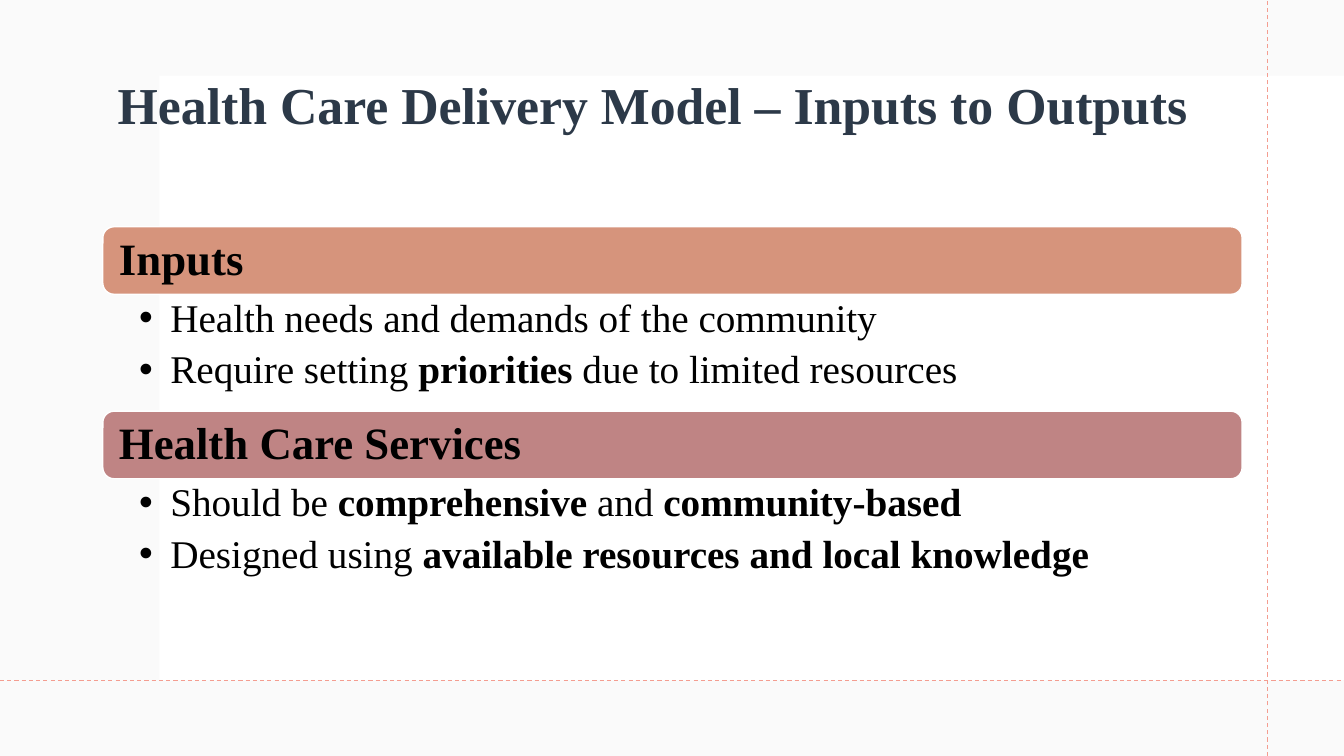
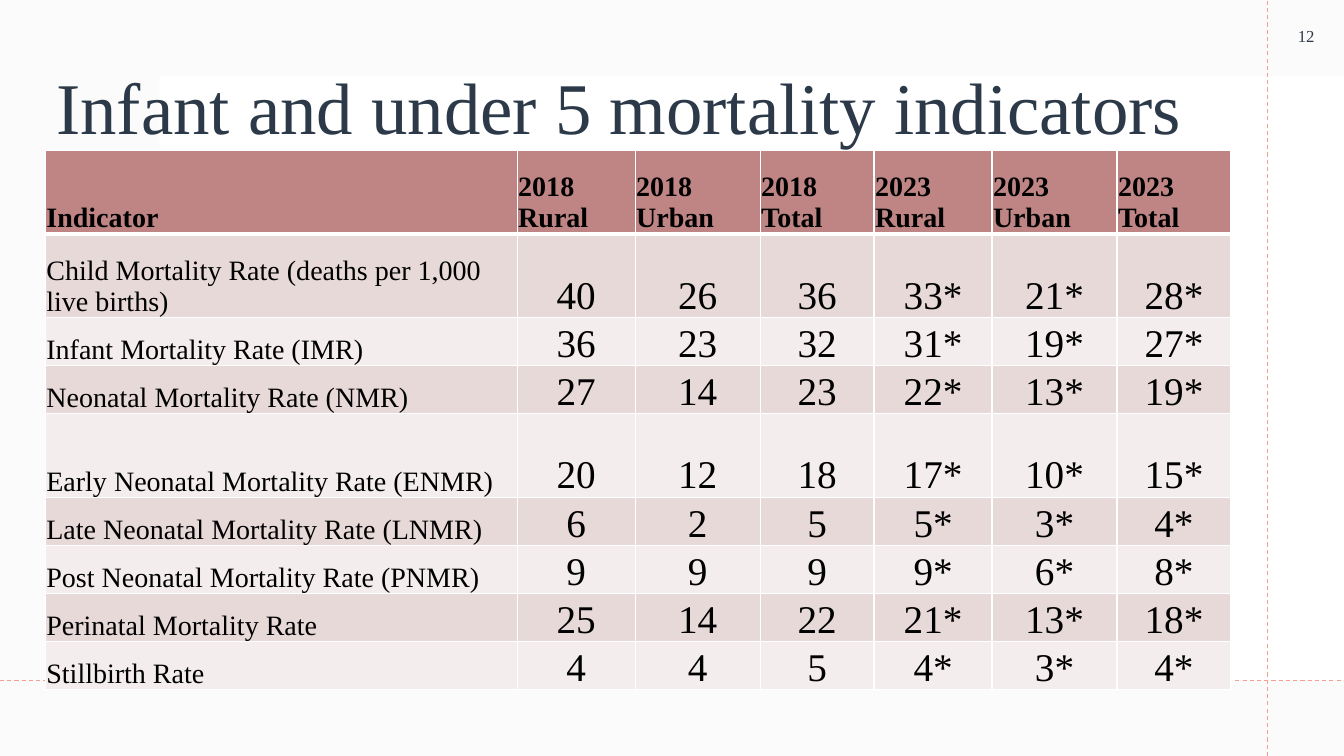
from lxml import etree
from pptx import Presentation
from pptx.dml.color import RGBColor
from pptx.enum.dml import MSO_LINE
from pptx.enum.shapes import MSO_CONNECTOR, MSO_SHAPE
from pptx.enum.text import MSO_ANCHOR, PP_ALIGN
from pptx.oxml.ns import qn
from pptx.util import Inches, Pt

RECT, ROUNDED = MSO_SHAPE.RECTANGLE, MSO_SHAPE.ROUNDED_RECTANGLE
STRAIGHT, DASH = MSO_CONNECTOR.STRAIGHT, MSO_LINE.DASH
TOP, MIDDLE, BOTTOM = MSO_ANCHOR.TOP, MSO_ANCHOR.MIDDLE, MSO_ANCHOR.BOTTOM
LEFT, CENTER = PP_ALIGN.LEFT, PP_ALIGN.CENTER

W, H = 13.33, 7.5
FONT = "Times New Roman"
WHITE, BLACK, NAVY, VEIL = "FFFFFF", "000000", "2C3948", "F4F4F4"
GUIDE, CLAY, ROSE = "F49D90", "D6947C", "BF8484"
STRIPES = ("E8D9D9", "F4EDED")
GUIDE_X, GUIDE_Y = 12.57, 6.75

SECTIONS = [
    ("Inputs", CLAY, [
        ["Health needs and demands of the community"],
        ["Require setting ", "*priorities", " due to limited resources"]]),
    ("Health Care Services", ROSE, [
        ["Should be ", "*comprehensive", " and ", "*community-based"],
        ["Designed using ", "*available resources and local knowledge"]]),
]

COLUMNS = [4.68, 1.17, 1.24, 1.13, 1.17, 1.24, 1.13]
TALL, SHORT = 0.83, 0.44
HEADINGS = ["Indicator", "2018\nRural", "2018\nUrban", "2018\nTotal",
            "2023\nRural", "2023\nUrban", "2023\nTotal"]
RATES = [
    (TALL, "Child Mortality Rate (deaths per 1,000 live births)", "40 26 36 33* 21* 28*"),
    (SHORT, "Infant Mortality Rate (IMR)", "36 23 32 31* 19* 27*"),
    (SHORT, "Neonatal Mortality Rate (NMR)", "27 14 23 22* 13* 19*"),
    (TALL, "Early Neonatal Mortality Rate (ENMR)", "20 12 18 17* 10* 15*"),
    (SHORT, "Late Neonatal Mortality Rate (LNMR)", "6 2 5 5* 3* 4*"),
    (SHORT, "Post Neonatal Mortality Rate (PNMR)", "9 9 9 9* 6* 8*"),
    (SHORT, "Perinatal Mortality Rate", "25 14 22 21* 13* 18*"),
    (SHORT, "Stillbirth Rate", "4 4 5 4* 3* 4*"),
]


def rgb(value):
    return RGBColor.from_string(value)


def inches(*values):
    return [Inches(v) for v in values]


def add_bullet(p, indent):
    pPr = p._p.get_or_add_pPr()
    pPr.set("marL", str(Inches(indent)))
    pPr.set("indent", str(-Inches(indent)))
    etree.SubElement(pPr, qn("a:buFont")).set("typeface", "Arial")
    etree.SubElement(pPr, qn("a:buChar")).set("char", "•")


def write(tf, paragraphs, size=20, color=BLACK, bold=False, align=LEFT,
          line=None, after=None, bullet=None):
    """Fill a frame; each paragraph is a list of runs, * marking a bold one."""
    for i, runs in enumerate(paragraphs):
        p = tf.add_paragraph() if i else tf.paragraphs[0]
        p.alignment = align
        if line:
            p.line_spacing = line
        if after:
            p.space_after = Pt(after)
        if bullet:
            add_bullet(p, bullet)
        for text in runs:
            r = p.add_run()
            r.text = text.removeprefix("*")
            r.font.name, r.font.size = FONT, Pt(size)
            r.font.bold = bold or text.startswith("*")
            r.font.color.rgb = rgb(color)


def add_text(s, box, paragraphs, anchor=TOP, insets=(0.1, 0.05, 0.1, 0.05), **fmt):
    tf = s.shapes.add_textbox(*inches(*box)).text_frame
    tf.word_wrap, tf.vertical_anchor = True, anchor
    tf.margin_left, tf.margin_top, tf.margin_right, tf.margin_bottom = inches(*insets)
    write(tf, paragraphs, **fmt)


def add_block(s, box, color, kind=RECT, alpha=None, outline=None):
    sp = s.shapes.add_shape(kind, *inches(*box))
    sp.shadow.inherit = False
    sp.fill.solid()
    sp.fill.fore_color.rgb = rgb(color)
    if alpha:
        clr = sp.fill._xPr.find(".//" + qn("a:srgbClr"))
        etree.SubElement(clr, qn("a:alpha")).set("val", str(alpha * 1000))
    if outline:
        sp.line.color.rgb, sp.line.width = rgb(outline), Pt(1)
    else:
        sp.line.fill.background()


def add_guide(s, *ends):
    guide = s.shapes.add_connector(STRAIGHT, *inches(*ends))
    guide.line.color.rgb, guide.line.width = rgb(GUIDE), Pt(0.75)
    guide.line.dash_style = DASH
    etree.SubElement(guide._element.spPr, qn("a:effectLst"))


def new_slide(prs, veil):
    """Blank slide with the shared veil, white panel and dashed guides."""
    s = prs.slides.add_slide(prs.slide_layouts[6])
    add_block(s, (0, 0, W, H), VEIL, alpha=veil)
    add_block(s, (1.58, 0.75, W - 1.58, 6), WHITE)
    add_guide(s, GUIDE_X, H, GUIDE_X, 0)
    add_guide(s, 0, GUIDE_Y, W, GUIDE_Y)
    return s


def add_title(s, box, text, **fmt):
    add_text(s, box, [[text]], color=NAVY, line=0.9, **fmt)


def add_section(s, box, heading, color, points):
    """Coloured heading band with a bullet list beneath it."""
    x, y, w, h = box
    band, edge = 0.67, 0.03
    add_block(s, (x, y, w, band), color, kind=ROUNDED, outline=WHITE)
    add_text(s, (x + edge, y + edge, w - 2 * edge, band - 2 * edge), [[heading]],
             anchor=MIDDLE, insets=(0.13,) * 4, size=32, bold=True, line=0.9)
    add_text(s, (x, y + band, w, h - band), points, insets=(0.36, 0.04, 0.22, 0.04),
             size=28, line=0.9, after=6.5, bullet=0.31)


def add_borders(cell, **widths):
    tcPr = cell._tc.get_or_add_tcPr()
    for side in "LRTB":
        ln = etree.SubElement(tcPr, qn("a:ln" + side), w=str(Pt(widths.get(side, 1))))
        fill = etree.SubElement(ln, qn("a:solidFill"))
        etree.SubElement(fill, qn("a:srgbClr"), val=WHITE)


def fill_cell(cell, text, color, borders, **fmt):
    add_borders(cell, **borders)
    cell.fill.solid()
    cell.fill.fore_color.rgb = rgb(color)
    cell.vertical_anchor = BOTTOM
    cell.margin_left = cell.margin_top = cell.margin_right = Inches(0.01)
    cell.margin_bottom = 0
    write(cell.text_frame, [[t] for t in text.split("\n")], **fmt)


def add_rates_table(s, x, y):
    heights = [TALL] + [row[0] for row in RATES]
    box = inches(x, y, sum(COLUMNS), sum(heights))
    table = s.shapes.add_table(len(heights), len(COLUMNS), *box).table
    for column, width in zip(table.columns, COLUMNS):
        column.width = Inches(width)
    for row, height in zip(table.rows, heights):
        row.height = Inches(height)
    # Header row
    for c, text in enumerate(HEADINGS):
        fill_cell(table.cell(0, c), text, ROSE, {"B": 3}, bold=True)
    # Striped body
    for r, (_, name, values) in enumerate(RATES, 1):
        borders = {"T": 3} if r == 1 else {}
        for c, text in enumerate([name] + values.split()):
            fmt = {"size": 28, "align": CENTER} if c else {}
            fill_cell(table.cell(r, c), text, STRIPES[(r - 1) % 2], borders, **fmt)


def model_slide(prs):
    s = new_slide(prs, veil=45)
    add_title(s, (1.01, 0.66, 10.93, 0.82), "Health Care Delivery Model – Inputs to Outputs",
              size=37, bold=True, align=CENTER, anchor=MIDDLE)
    height = 1.83
    for i, section in enumerate(SECTIONS):
        add_section(s, (1.02, 2.25 + i * height, 11.3, height), *section)


def indicators_slide(prs):
    s = new_slide(prs, veil=35)
    add_title(s, (0.46, 0.66, 11.88, 2.31), "Infant and under 5 mortality indicators", size=52)
    add_text(s, (12.58, -0.02, 0.75, 0.75), [["12"]], anchor=MIDDLE,
             size=12, color=NAVY, align=CENTER)
    add_rates_table(s, 0.45, 1.49)


def main():
    prs = Presentation()
    prs.slide_width, prs.slide_height = inches(W, H)
    model_slide(prs)
    indicators_slide(prs)
    prs.save("out.pptx")


if __name__ == "__main__":
    main()
